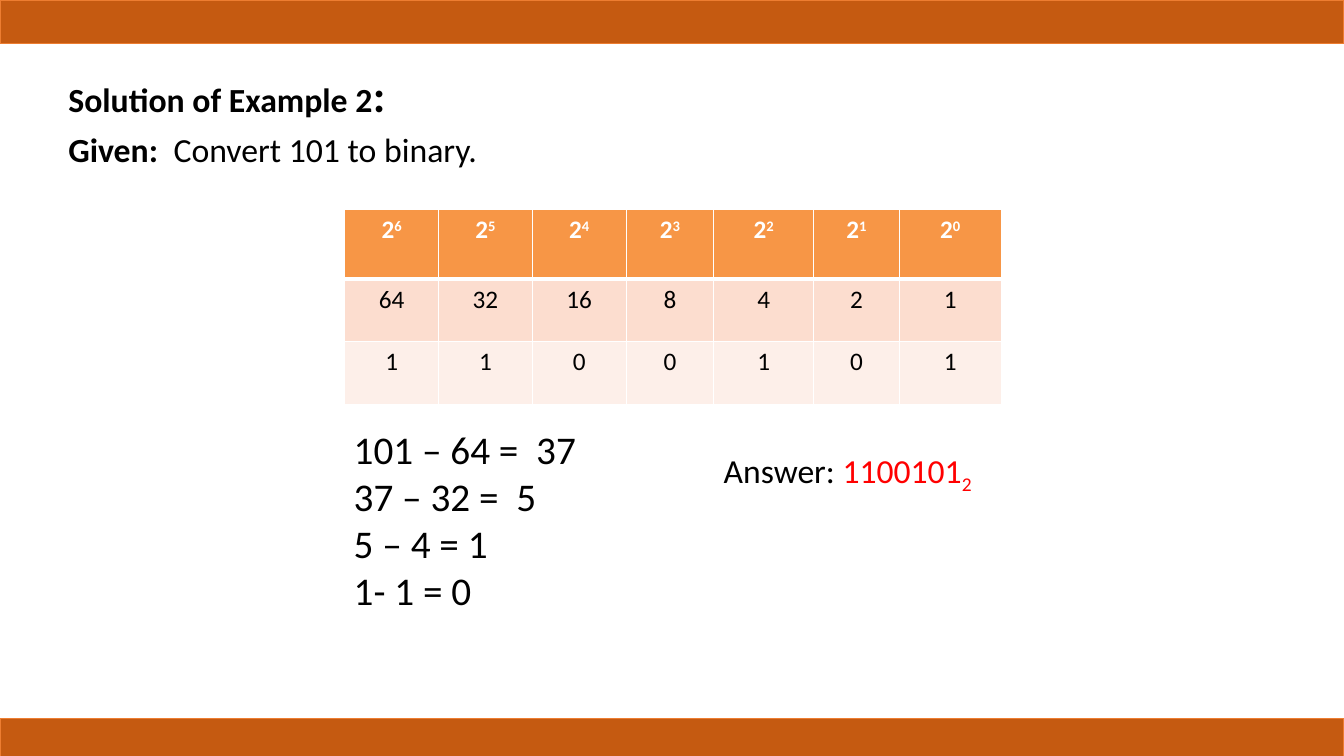
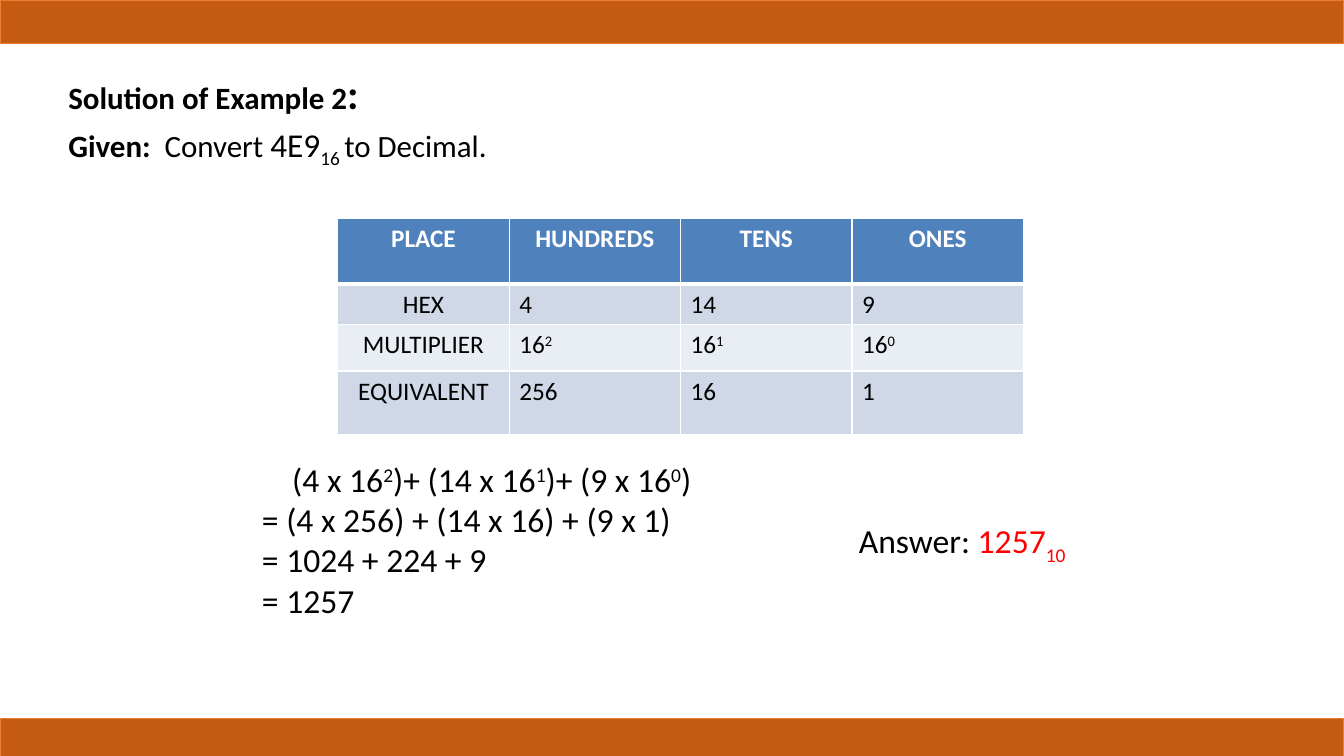
from lxml import etree
from pptx import Presentation
from pptx.dml.color import RGBColor
from pptx.enum.shapes import MSO_SHAPE
from pptx.enum.text import PP_ALIGN
from pptx.oxml.ns import qn
from pptx.util import Inches, Pt

BLACK = RGBColor(0x00, 0x00, 0x00)
WHITE = RGBColor(0xFF, 0xFF, 0xFF)
RED = RGBColor(0xFF, 0x00, 0x00)
BAND = RGBColor(0xC5, 0x5A, 0x11)
BAND_LINE = RGBColor(0xED, 0x7D, 0x31)
ORANGE = RGBColor(0xF7, 0x96, 0x46)
PEACH = RGBColor(0xFC, 0xDD, 0xCF)
PALE_PEACH = RGBColor(0xFD, 0xEF, 0xE9)
BLUE = RGBColor(0x4F, 0x81, 0xBD)
LIGHT_BLUE = RGBColor(0xD0, 0xD8, 0xE8)
PALE_BLUE = RGBColor(0xE9, 0xED, 0xF4)

FONT = "Calibri"
WIDTH, HEIGHT = 13.33, 7.5
BAND_TOPS, BAND_HEIGHT = (0, 7.13), 0.43


def sup(text):
    return text, {"base": 30}


def sub(text, **style):
    return text, {"base": -25, **style}


def power(base, exponent):
    return [base, sup(exponent)]


class Deck:
    def __init__(self):
        self.prs = Presentation()
        self.prs.slide_width = Inches(WIDTH)
        self.prs.slide_height = Inches(HEIGHT)
        self.s = None

    def add_slide(self):
        self.s = self.prs.slides.add_slide(self.prs.slide_layouts[6])
        for top in BAND_TOPS:
            sp = self.s.shapes.add_shape(MSO_SHAPE.RECTANGLE, 0, Inches(top),
                                         Inches(WIDTH), Inches(BAND_HEIGHT))
            sp.shadow.inherit = False
            sp.fill.solid()
            sp.fill.fore_color.rgb = BAND
            sp.line.color.rgb = BAND_LINE
            sp.line.width = Pt(1)

    def add_runs(self, p, runs, size, color=BLACK, bold=False):
        p.font.name = FONT
        p.font.size = Pt(size)
        p.font.color.rgb = color
        p.font.bold = bold
        for run in [runs] if isinstance(runs, str) else runs:
            text, style = (run, {}) if isinstance(run, str) else run
            r = p.add_run()
            r.text = text
            if "size" in style:
                r.font.size = Pt(style["size"])
            if "color" in style:
                r.font.color.rgb = style["color"]
            if "bold" in style:
                r.font.bold = style["bold"]
            if "base" in style:
                r._r.get_or_add_rPr().set("baseline", str(style["base"] * 1000))

    def text(self, box, lines, size, space_before=0):
        tf = self.s.shapes.add_textbox(*map(Inches, box)).text_frame
        tf.word_wrap = True
        for i, runs in enumerate(lines):
            p = tf.add_paragraph() if i else tf.paragraphs[0]
            if i and space_before:
                p.space_before = Pt(space_before)
            self.add_runs(p, runs, size)
        return tf

    def title(self, size, colon_size, given):
        bold = {"bold": True}
        self.text((0.58, 0.62, 7.67, 0.98), [
            [("Solution of Example 2", bold), (":", {"size": colon_size, **bold})],
            [("Given:  ", bold), *given],
        ], size, space_before=size * 0.2)

    def answer(self, left, top, width, number, radix):
        self.text((left, top, width, 0.5),
                  [["Answer: ", (number, {"color": RED}), sub(radix, color=RED)]], 24)

    def borders(self, cell, bottom):
        tcPr = cell._tc.get_or_add_tcPr()
        for side, width in (("L", 1), ("R", 1), ("T", 1), ("B", bottom)):
            ln = etree.SubElement(tcPr, qn(f"a:ln{side}"), w=str(Pt(width)))
            fill = etree.SubElement(ln, qn("a:solidFill"))
            etree.SubElement(fill, qn("a:srgbClr"), val=str(WHITE))

    def table(self, left, top, widths, heights, rows, fills, centred):
        tbl = self.s.shapes.add_table(
            len(rows), len(widths), Inches(left), Inches(top),
            Inches(sum(widths)), Inches(sum(heights))).table
        tbl.horz_banding = False
        for column, width in zip(tbl.columns, widths):
            column.width = Inches(width)
        for i, (row, height, fill) in enumerate(zip(rows, heights, fills)):
            tbl.rows[i].height = Inches(height)
            header = i == 0
            for j, runs in enumerate(row):
                cell = tbl.cell(i, j)
                self.borders(cell, 3 if header else 1)
                cell.fill.solid()
                cell.fill.fore_color.rgb = fill
                p = cell.text_frame.paragraphs[0]
                if header or j < centred:
                    p.alignment = PP_ALIGN.CENTER
                self.add_runs(p, runs, 18, WHITE if header else BLACK, header)


def binary_slide(deck):
    deck.add_slide()
    deck.title(24.1, 32.4, ["Convert 101 to binary."])
    exponents = range(6, -1, -1)
    deck.table(3.42, 2.08, [0.93, 0.93, 0.93, 0.87, 0.99, 0.85, 1.01],
               [0.69, 0.62, 0.62],
               [[power("2", str(n)) for n in exponents],
                [str(2 ** n) for n in exponents],
                list("1100101")],
               [ORANGE, PEACH, PALE_PEACH], centred=7)
    deck.text((3.41, 4.17, 2.88, 2.29),
              ["101 – 64 =  37", "37 – 32 =  5", "5 – 4 = 1", "1- 1 = 0"], 28)
    deck.answer(7.08, 4.41, 3.17, "1100101", "2")


def hex_slide(deck):
    deck.add_slide()
    deck.title(22.1, 29.8, ["Convert ", ("4E9", {"size": 23.8}),
                            sub("16 ", size=23.8), "to Decimal."])
    deck.table(3.35, 2.17, [1.7] * 4, [0.65, 0.4, 0.46, 0.63],
               [["PLACE", "HUNDREDS", "TENS", "ONES"],
                ["HEX", "4", "14", "9"],
                ["MULTIPLIER", *(power("16", n) for n in "210")],
                ["EQUIVALENT", "256", "16", "1"]],
               [BLUE, LIGHT_BLUE, PALE_BLUE, LIGHT_BLUE], centred=1)
    tf = deck.text((2.5, 4.5, 5.42, 1.72), [
        [*power("(4 x 16", "2"), *power(")+ (14 x 16", "1"),
         *power(")+ (9 x 16", "0"), ")"],
        "= (4 x 256) + (14 x 16) + (9 x 1)",
        "= 1024 + 224 + 9",
        "= 1257",
    ], 24)
    tf.paragraphs[0]._p.get_or_add_pPr().set("indent", str(Inches(0.3)))
    deck.answer(8.42, 5.11, 2.42, "1257", "10")


def main():
    deck = Deck()
    binary_slide(deck)
    hex_slide(deck)
    deck.prs.save("out.pptx")


if __name__ == "__main__":
    main()
